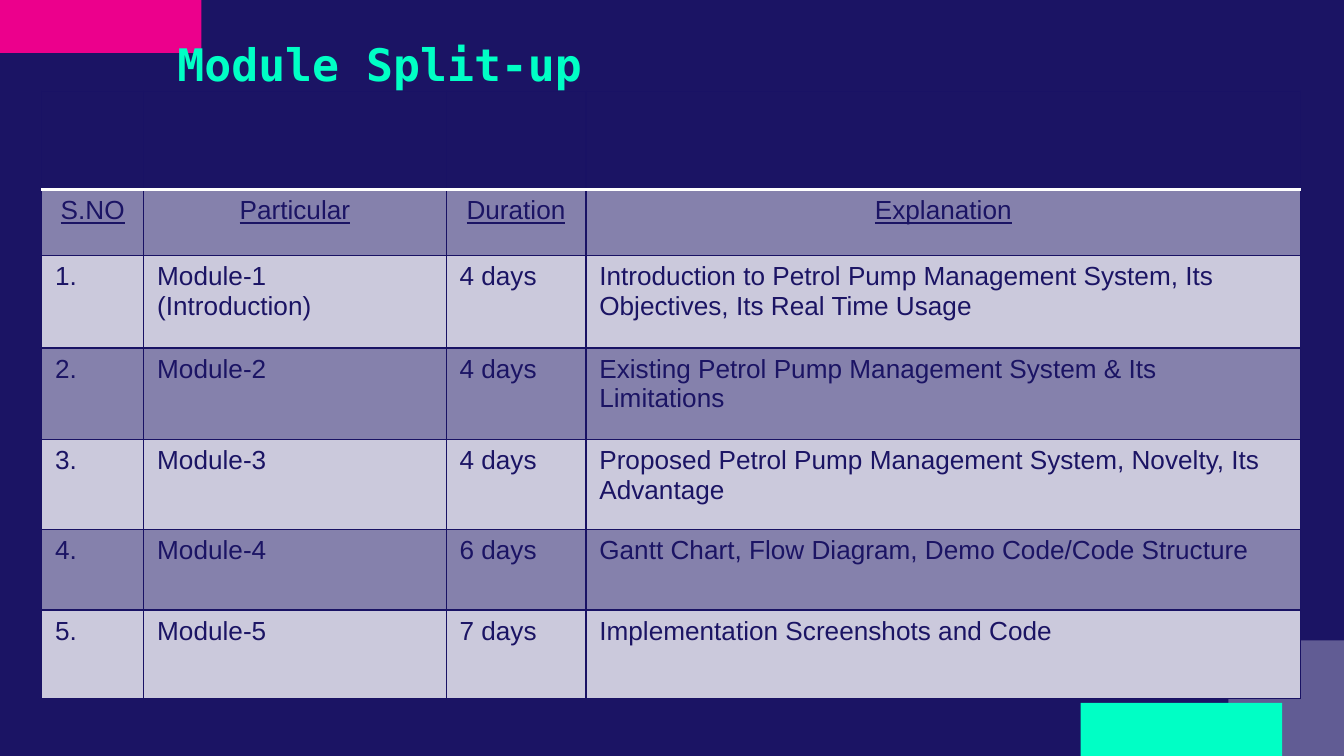
from lxml.etree import SubElement as Sub
from pptx import Presentation
from pptx.dml.color import RGBColor as RGB
from pptx.enum.shapes import MSO_SHAPE as Shape
from pptx.enum.text import MSO_ANCHOR as Anchor, PP_ALIGN as Align
from pptx.oxml.ns import qn
from pptx.util import Inches, Pt

WIDE = 10
HIGH = WIDE * 9 / 16
HUES = {
    "navy": "1B1464", "pink": "EC008C", "mint": "00FFC5", "white": "FFFFFF",
    "edge": "191264", "dark": "8581AC", "light": "CBC9DC",
}
COLS = [0.76, 2.25, 1.04, 5.32]
ROWS = [0.73, 0.49, 0.69, 0.68, 0.67, 0.6, 0.66]
HEADS = ["S.NO", "Particular", "Duration", "Explanation"]
PLAN = [
    ("Module-1\n(Introduction)", 4,
     "Introduction to Petrol Pump Management System, Its Objectives, Its Real Time Usage"),
    ("Module-2", 4, "Existing Petrol Pump Management System & Its Limitations"),
    ("Module-3", 4, "Proposed Petrol Pump Management System, Novelty, Its Advantage"),
    ("Module-4", 6, "Gantt Chart, Flow Diagram, Demo Code/Code Structure"),
    ("Module-5", 7, "Implementation Screenshots and Code"),
]


def hue(name):
    return RGB.from_string(HUES[name])


def style(par, face, size, tone):
    par.font.name, par.font.size = face, Pt(size)
    par.font.color.rgb = hue(tone)


def block(slide, box, tone, alpha=None):
    rect = slide.shapes.add_shape(Shape.RECTANGLE, *map(Inches, box))
    rect.shadow.inherit = False
    rect.line.fill.background()
    rect.fill.solid()
    rect.fill.fore_color.rgb = hue(tone)
    if alpha:
        color = rect.element.spPr.find(qn("a:solidFill"))[0]
        Sub(color, qn("a:alpha"), val=str(alpha * 1000))


def decor(slide, wide, high):
    bar, tall, side = 0.15 * wide, 0.07 * high, 0.86
    block(slide, (0, 0, bar, tall), "pink")
    block(slide, (wide - side, high - side, side, side), "white", 31)
    block(slide, (wide - 0.46 - bar, high - tall, bar, tall), "mint")


def title(slide, box):
    head = slide.shapes.title
    head.element.getparent().append(head.element)  # in front of the blocks
    head.left, head.top, head.width, head.height = map(Inches, box)
    frame = head.text_frame
    frame.text = "Module Split-up"
    frame.word_wrap, frame.vertical_anchor = True, Anchor.TOP
    par = frame.paragraphs[0]
    par.alignment = Align.LEFT
    par.font.bold = True
    style(par, "DejaVu Sans Mono", 24, "mint")


def border(cell, row):
    props = cell._tc.get_or_add_tcPr()
    for side in "LRTB":
        rule = (row, side) in ((0, "B"), (1, "T"))
        tone, size = ("white", 2) if rule else ("edge", 0.75)
        line = Sub(props, qn("a:ln" + side), w=str(Pt(size)))
        fill = Sub(line, qn("a:solidFill"))
        Sub(fill, qn("a:srgbClr"), val=HUES[tone])


def paint(cell, row, text):
    border(cell, row)
    cell.fill.solid()
    cell.fill.fore_color.rgb = hue("navy" if row == 0 else "dark" if row % 2 else "light")
    cell.text = text
    for par in cell.text_frame.paragraphs:
        style(par, "Arial", 14, "navy")
        if row == 1:
            par.alignment = Align.CENTER
            par.font.underline = True


def table(slide, left, top):
    data = [[""] * len(COLS), HEADS]
    data += [[f"{num}.", name, f"{days} days", note]
             for num, (name, days, note) in enumerate(PLAN, 1)]
    box = map(Inches, (left, top, sum(COLS), sum(ROWS)))
    grid = slide.shapes.add_table(len(ROWS), len(COLS), *box).table
    grid.first_row = grid.horz_banding = False
    for col, wide in zip(grid.columns, COLS):
        col.width = Inches(wide)
    for row, high in zip(grid.rows, ROWS):
        row.height = Inches(high)
    for row, texts in enumerate(data):
        for col, text in enumerate(texts):
            paint(grid.cell(row, col), row, text)


def main():
    deck = Presentation()
    deck.slide_width, deck.slide_height = Inches(WIDE), Inches(HIGH)
    slide = deck.slides.add_slide(deck.slide_layouts[5])
    slide.background.fill.solid()
    slide.background.fill.fore_color.rgb = hue("navy")
    decor(slide, WIDE, HIGH)
    title(slide, (1.22, 0.22, WIDE / 2, 0.74))
    table(slide, 0.31, 0.68)
    deck.save("out.pptx")


if __name__ == "__main__":
    main()
